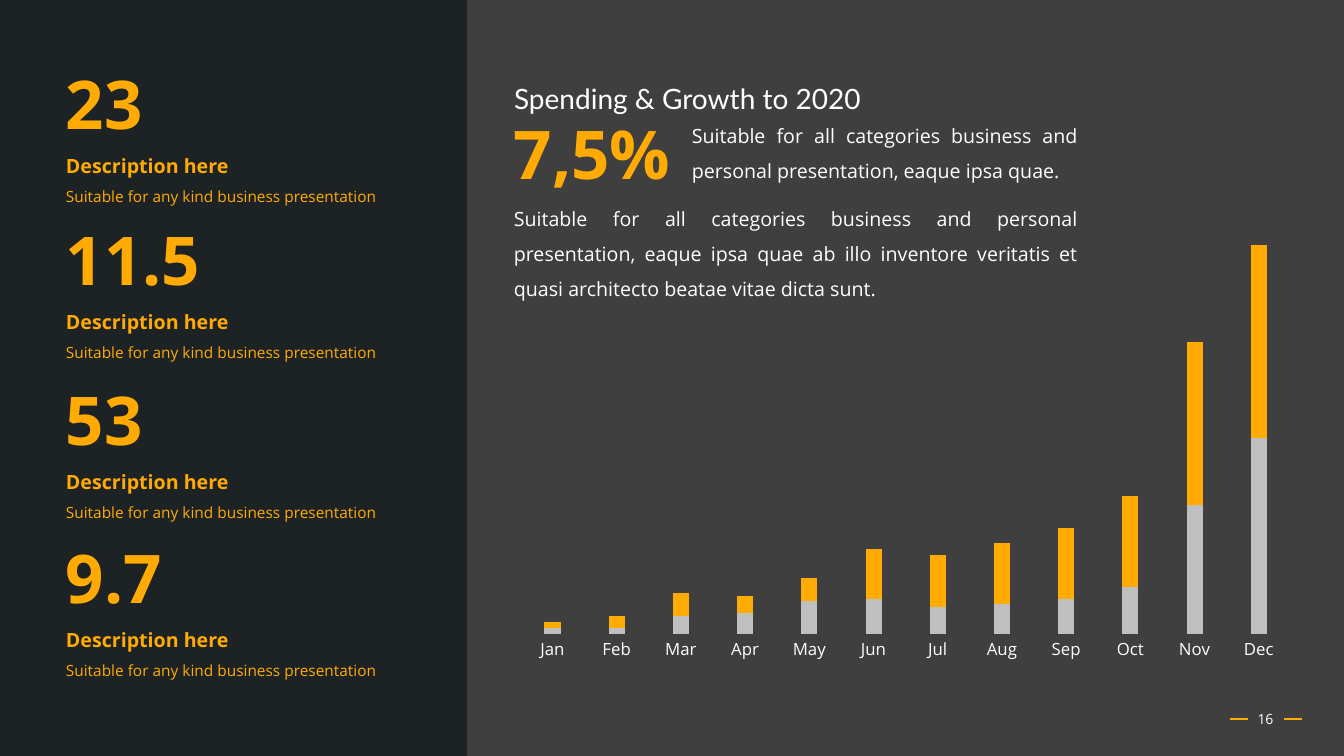
from lxml import etree
from pptx import Presentation
from pptx import util as u
from pptx.chart.data import CategoryChartData
from pptx.dml.color import RGBColor
from pptx.enum import chart as charts, shapes, text
from pptx.oxml import parse_xml
from pptx.oxml.ns import nsdecls, qn

SCALE = 914400 / 100.8  # EMU in one px
AMBER = RGBColor(0xFF, 0xAB, 0x03)
WHITE = RGBColor(0xFF, 0xFF, 0xFF)
SILVER = RGBColor(0xBF, 0xBF, 0xBF)
CHARCOAL = RGBColor(0x3F, 0x3F, 0x3F)
INK = RGBColor(0x18, 0x1E, 0x20)


def px(*lengths):
    return [u.Emu(round(length * SCALE)) for length in lengths]


def write(frame, wording, size=14, color=WHITE, font="Open Sans", bold=False,
          align=text.PP_ALIGN.LEFT, spacing=1.5, anchor=text.MSO_ANCHOR.TOP):
    """Fill the first paragraph of the frame, or add one after it."""
    frame.word_wrap = True
    frame.auto_size = text.MSO_AUTO_SIZE.NONE
    frame.vertical_anchor = anchor
    paragraph = frame.add_paragraph() if frame.text else frame.paragraphs[0]
    paragraph.alignment = align
    paragraph.line_spacing = spacing
    run = paragraph.add_run()
    run.text = wording
    run.font.size = u.Pt(size)
    run.font.name = font
    run.font.bold = bold
    run.font.color.rgb = color


presentation = Presentation()
presentation.slide_width, presentation.slide_height = px(1344, 756)
slide = presentation.slides.add_slide(presentation.slide_layouts[5])
slide.background.fill.solid()
slide.background.fill.fore_color.rgb = CHARCOAL

# Dark side panel, 85 % opaque
panel = slide.shapes.add_shape(shapes.MSO_SHAPE.RECTANGLE, *px(-1, 0, 468, 756))
panel.shadow.inherit = False
panel.line.fill.background()
panel.fill.solid()
panel.fill.fore_color.rgb = INK
panel_color = panel.fill._xPr.find(".//" + qn("a:srgbClr"))
etree.SubElement(panel_color, qn("a:alpha"), val="85000")

# Page number between two dashes
for left in (1230, 1284):
    dash = slide.shapes.add_connector(
        shapes.MSO_CONNECTOR.STRAIGHT, *px(left, 719, left + 18, 719))
    dash.line.color.rgb = AMBER
    dash.line.width = u.Pt(1.75)
    etree.SubElement(dash._element.spPr, qn("a:effectLst"))
page_number = slide.shapes.add_textbox(*px(1236, 699, 59, 40))
write(page_number.text_frame, "16", size=10, spacing=1,
      align=text.PP_ALIGN.CENTER, anchor=text.MSO_ANCHOR.MIDDLE)

# Stacked monthly columns
chart_data = CategoryChartData()
chart_data.categories = ["Jan", "Feb", "Mar", "Apr", "May", "Jun",
                         "Jul", "Aug", "Sep", "Oct", "Nov", "Dec"]
chart_data.add_series("Series 1", (2, 2, 6, 7, 11, 12, 9, 10, 12, 16, 44, 67))
chart_data.add_series("Series 2", (2, 4, 8, 6, 8, 17, 18, 21, 24, 31, 56, 100))
chart = slide.shapes.add_chart(charts.XL_CHART_TYPE.COLUMN_STACKED,
                               *px(462, 178, 834, 540), chart_data).chart
chart.has_legend = False
chart.has_title = False
chart.font.name = "Open Sans"
chart.font.size = u.Pt(12)
chart.font.color.rgb = WHITE

plot = chart.plots[0]
plot.gap_width = 300
plot.overlap = 100
plot.vary_by_categories = False
for series, color in zip(plot.series, (SILVER, AMBER)):
    series.format.fill.solid()
    series.format.fill.fore_color.rgb = color

months = chart.category_axis
months.major_tick_mark = charts.XL_TICK_MARK.NONE
months.format.line.fill.background()
amounts = chart.value_axis
amounts.minimum_scale = 0
amounts.maximum_scale = 133
amounts.has_major_gridlines = False
amounts.visible = False

# Fixed inner plot area, as fractions of the chart
plot_area = chart._chartSpace.chart.plotArea
for layout in plot_area.findall(qn("c:layout")):
    plot_area.remove(layout)
plot_area.insert(0, parse_xml(
    f'<c:layout {nsdecls("c")}><c:manualLayout><c:layoutTarget val="inner"/>'
    '<c:xMode val="edge"/><c:yMode val="edge"/><c:x val="0.07"/>'
    '<c:y val="0.125"/><c:w val="0.924"/><c:h val="0.719"/>'
    '</c:manualLayout></c:layout>'))

# Key figures on the panel
for top, figure in ((57, "23"), (213, "11.5"), (373, "53"), (531, "9.7")):
    frame = slide.shapes.add_textbox(*px(56, top, 360, 155)).text_frame
    write(frame, figure, size=48, color=AMBER, bold=True, spacing=1)
    write(frame, "Description here", color=AMBER, bold=True)
    write(frame, "Suitable for any kind business presentation", size=11, color=AMBER)

# Title, headline figure and introduction
title = slide.shapes.title
title.left, title.top, title.width, title.height = px(504, 60, 577, 55)
write(title.text_frame, "Spending & Growth to 2020", size=20, font="Lato")

growth = slide.shapes.add_textbox(*px(504, 107, 182, 92))
write(growth.text_frame, "7,5%", size=48, color=AMBER, bold=True, spacing=1)

for box, wording in (
        ((682, 107, 406, 82),
         "Suitable for all categories business and personal presentation, "
         "eaque ipsa quae."),
        ((504, 190, 584, 117),
         "Suitable for all categories business and personal presentation, "
         "eaque ipsa quae ab illo inventore veritatis et quasi architecto "
         "beatae vitae dicta sunt.")):
    introduction = slide.shapes.add_textbox(*px(*box))
    write(introduction.text_frame, wording, align=text.PP_ALIGN.JUSTIFY)

presentation.save("out.pptx")
